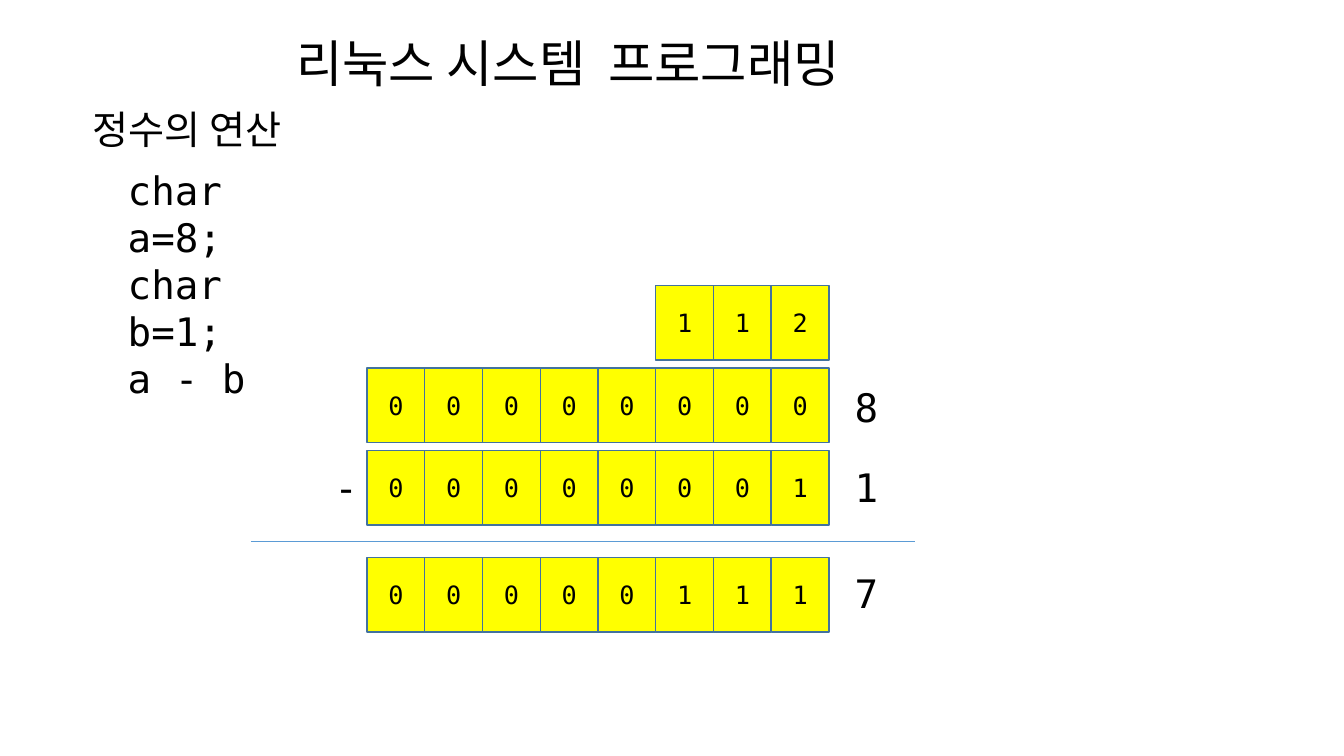
from pptx import Presentation
from pptx.dml.color import RGBColor
from pptx.enum.shapes import MSO_CONNECTOR, MSO_SHAPE
from pptx.enum.text import MSO_ANCHOR, MSO_AUTO_SIZE, PP_ALIGN
from pptx.oxml.ns import qn
from pptx.util import Cm, Pt
from lxml import etree

RECT = MSO_SHAPE.RECTANGLE
LINE = MSO_CONNECTOR.STRAIGHT
TOP, MID = MSO_ANCHOR.TOP, MSO_ANCHOR.MIDDLE
LEFT, CENTER = PP_ALIGN.LEFT, PP_ALIGN.CENTER
GROW = MSO_AUTO_SIZE.SHAPE_TO_FIT_TEXT

HANGUL = "Noto Sans CJK KR"
MONO = "DejaVu Sans Mono"

TITLE = "리눅스 시스템  프로그래밍"
TOPIC = "정수의 연산"
CODE = "char a=8;\nchar b=1;\na - b"
ROWS = [
    ("112", 7.19),
    ("00000000", 9.27),
    ("00000001", 11.35),
    ("00000111", 14.05),
]
MARKS = [
    ("8", 21.29, 9.53),
    ("1", 21.29, 11.56),
    ("-", 8.18, 11.56),
    ("7", 21.29, 14.22),
]
BITS = 8
GRID_X, GRID_W, CELL_H = 9.25, 11.64, 1.88
RULE = (6.32, 23.06, 13.64)


def color(code):
    return RGBColor.from_string(code)


def write(frame, text, size=28, font=MONO, align=LEFT, anchor=TOP):
    frame.text = text
    frame.word_wrap = True
    frame.vertical_anchor = anchor
    for para in frame.paragraphs:
        para.alignment = align
        for run in para.runs:
            run.font.size = Pt(size)
            run.font.name = font
            run.font.color.rgb = color("000000")
            if font == HANGUL:
                east = etree.SubElement(run.font._element, qn("a:ea"))
                east.set("typeface", font)


def label(slide, text, x, y, w, h, **style):
    box = slide.shapes.add_textbox(Cm(x), Cm(y), Cm(w), Cm(h))
    write(box.text_frame, text, **style)
    box.text_frame.auto_size = GROW


def cell(slide, bit, x, y, w):
    box = slide.shapes.add_shape(RECT, Cm(x), Cm(y), Cm(w), Cm(CELL_H))
    box.shadow.inherit = False
    box.fill.solid()
    box.fill.fore_color.rgb = color("FFFF00")
    box.line.color.rgb = color("43739E")
    box.line.width = Pt(1)
    write(box.text_frame, bit, size=18, align=CENTER, anchor=MID)


def main():
    deck = Presentation()
    deck.slide_width, deck.slide_height = Cm(33.87), Cm(19.05)
    slide = deck.slides.add_slide(deck.slide_layouts[5])

    title = slide.shapes.title
    title.left, title.top = Cm(7.21), Cm(0.69)
    title.width, title.height = Cm(15.98), Cm(1.8)
    write(title.text_frame, TITLE, size=36, font=HANGUL)
    title.text_frame.auto_size = GROW

    label(slide, TOPIC, 2.08, 2.54, 5.84, 1.45, font=HANGUL)
    label(slide, CODE, 2.97, 4.06, 5.44, 3.84)

    step = GRID_W / BITS
    for bits, y in ROWS:
        for col, bit in enumerate(bits, BITS - len(bits)):
            cell(slide, bit, GRID_X + col * step, y, step)

    for text, x, y in MARKS:
        label(slide, text, x, y, 1.07, 1.45)

    start, end, y = RULE
    rule = slide.shapes.add_connector(LINE, Cm(start), Cm(y), Cm(end), Cm(y))
    rule.line.color.rgb = color("5B9BD5")
    rule.line.width = Pt(0.5)
    etree.SubElement(rule._element.spPr, qn("a:effectLst"))

    deck.save("out.pptx")


if __name__ == "__main__":
    main()
